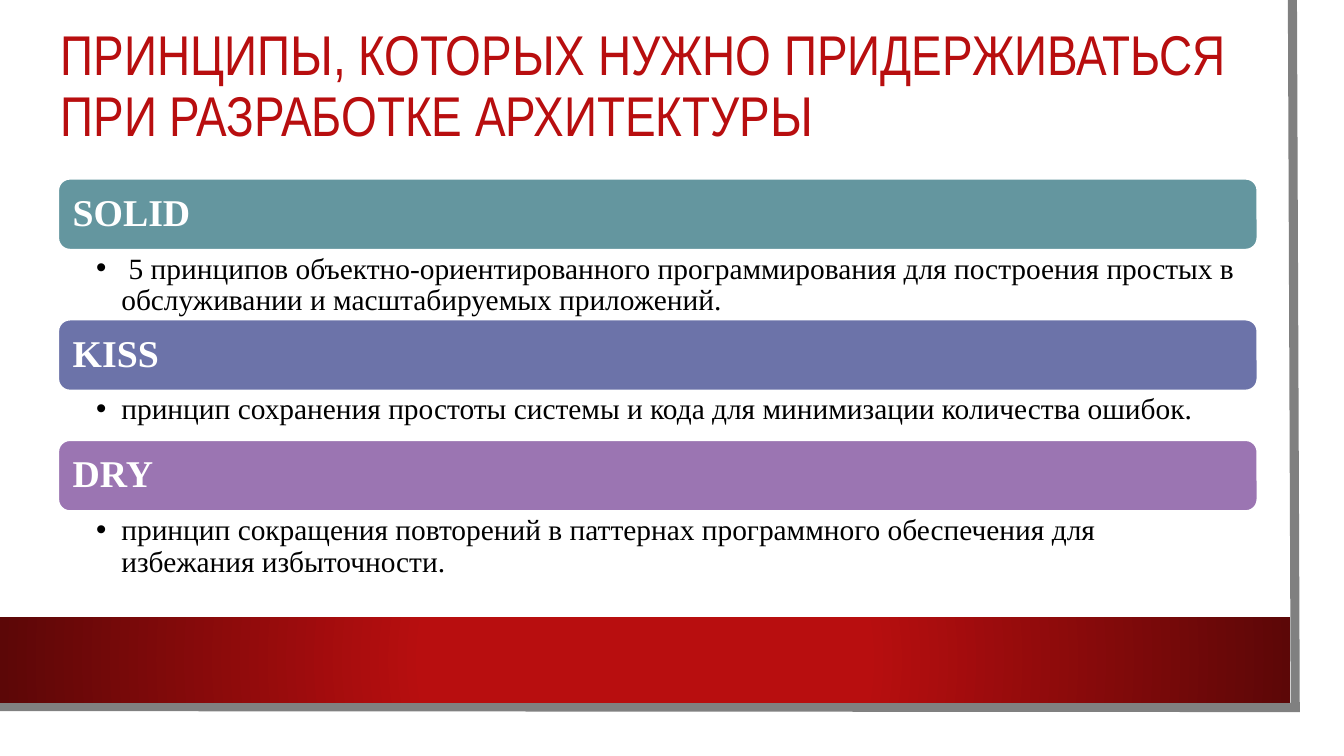
from lxml import etree
from pptx import Presentation
from pptx.dml.color import RGBColor
from pptx.enum import shapes, text
from pptx.oxml import ns
from pptx.util import Pt

HUES = {
    "paper": "FFFFFF", "ink": "000000", "edge": "808080",
    "red": "B80E0F", "dark": "5C0707",
    "teal": "64969F", "blue": "6C73A9", "plum": "9B75B2",
}
SERIF = "Times New Roman"
TITLE = "ПРИНЦИПЫ, КОТОРЫХ НУЖНО ПРИДЕРЖИВАТЬСЯ ПРИ РАЗРАБОТКЕ АРХИТЕКТУРЫ"
RULES = [
    ("SOLID", "teal", 49.7, " 5 принципов объектно-ориентированного программирования "
     "для построения простых в обслуживании и масштабируемых приложений."),
    ("KISS", "blue", 35.2, "принцип сохранения простоты системы и кода "
     "для минимизации количества ошибок."),
    ("DRY", "plum", 47.5, "принцип сокращения повторений в паттернах "
     "программного обеспечения для избежания избыточности."),
]
FONTS = {
    "title": {"size": Pt(40), "name": "Arial Narrow", "bold": False},
    "head": {"size": Pt(27), "name": SERIF, "bold": True},
    "note": {"size": Pt(21), "name": SERIF, "bold": False},
}
MID = text.MSO_ANCHOR.MIDDLE
TOP = text.MSO_ANCHOR.TOP


def color(key):
    return RGBColor.from_string(HUES[key])


def put(obj, values):
    for key, value in values.items():
        setattr(obj, key, value)


def write(shape, words, style, hue, anchor, pads):
    frame = shape.text_frame
    sides = ("left", "top", "right", "bottom")
    put(frame, {f"margin_{side}": Pt(pad) for side, pad in zip(sides, pads)})
    put(frame, {"word_wrap": True, "auto_size": text.MSO_AUTO_SIZE.NONE,
                "vertical_anchor": anchor})
    para = frame.paragraphs[0]
    para.text = words
    put(para, {"alignment": text.PP_ALIGN.LEFT, "line_spacing": 0.9})
    put(para.runs[0].font, FONTS[style])
    para.runs[0].font.color.rgb = color(hue)
    return para


def block(slide, kind, box, hue):
    shape = slide.shapes.add_shape(kind, *map(Pt, box))
    shape.shadow.inherit = False
    shape.fill.solid()
    shape.fill.fore_color.rgb = color(hue)
    shape.line.fill.background()
    return shape


def border(slide, box):
    x, y, w, h = box
    pen = slide.shapes.build_freeform(Pt(x + w), Pt(y))
    pen.add_line_segments([(Pt(x + w + 2), Pt(y + h)), (Pt(x - 2), Pt(y + h - 0.7))],
                          close=False)
    edge = pen.convert_to_shape()
    edge.shadow.inherit = False
    edge.fill.background()
    edge.line.color.rgb = color("edge")
    edge.line.width = Pt(6.5)
    etree.SubElement(edge.line._get_or_add_ln(), ns.qn("a:miter"), lim="800000")


def band(slide, box):
    shape = block(slide, shapes.MSO_SHAPE.RECTANGLE, box, "red")
    shape.fill.gradient()
    for stop, (spot, hue) in zip(shape.fill.gradient_stops, [(0.34, "red"), (1, "dark")]):
        stop.position = spot
        stop.color.rgb = color(hue)
    grad = shape.fill._xPr.find(ns.qn("a:gradFill"))
    grad.remove(grad.find(ns.qn("a:lin")))
    way = etree.SubElement(grad, ns.qn("a:path"), path="circle")
    etree.SubElement(way, ns.qn("a:fillToRect"),
                     {side: "50000" for side in "ltrb"})


def title(slide, box):
    shape = slide.shapes.title
    put(shape, dict(zip(("left", "top", "width", "height"), map(Pt, box))))
    write(shape, TITLE, "title", "red", MID, (7.2, 3.6, 7.2, 3.6))


def note(slide, box, words):
    shape = slide.shapes.add_textbox(*map(Pt, box))
    para = write(shape, words, "note", "ink", TOP, (27.2, 2.7, 15.6, 2.7))
    para.level = 1
    props = para._p.get_or_add_pPr()
    props.set("marL", str(Pt(18)))
    props.set("indent", str(-Pt(18)))
    etree.SubElement(props, ns.qn("a:buFont"), typeface="Arial")
    etree.SubElement(props, ns.qn("a:buChar"), char="•")


def rules(slide, box, bar=50.9):
    x, y, w, _ = box
    for name, hue, tall, words in RULES:
        head = block(slide, shapes.MSO_SHAPE.ROUNDED_RECTANGLE, (x, y, w, bar), hue)
        head.line.color.rgb = color("paper")
        head.line.width = Pt(1.5)
        write(head, name, "head", "paper", MID, (8, 8, 8, 8))
        note(slide, (x, y + bar, w, tall), words)
        y += bar + tall


def main():
    deck = Presentation()
    put(deck, {"slide_width": Pt(960), "slide_height": Pt(540)})
    slide = deck.slides.add_slide(deck.slide_layouts[5])
    border(slide, (0, 0, 923.2, 505.4))
    band(slide, (0, 440.8, 921.6, 61.2))
    title(slide, (36, 17.3, 867, 90.7))
    rules(slide, (41.5, 127.6, 856.8, 285))
    deck.save("out.pptx")


if __name__ == "__main__":
    main()
